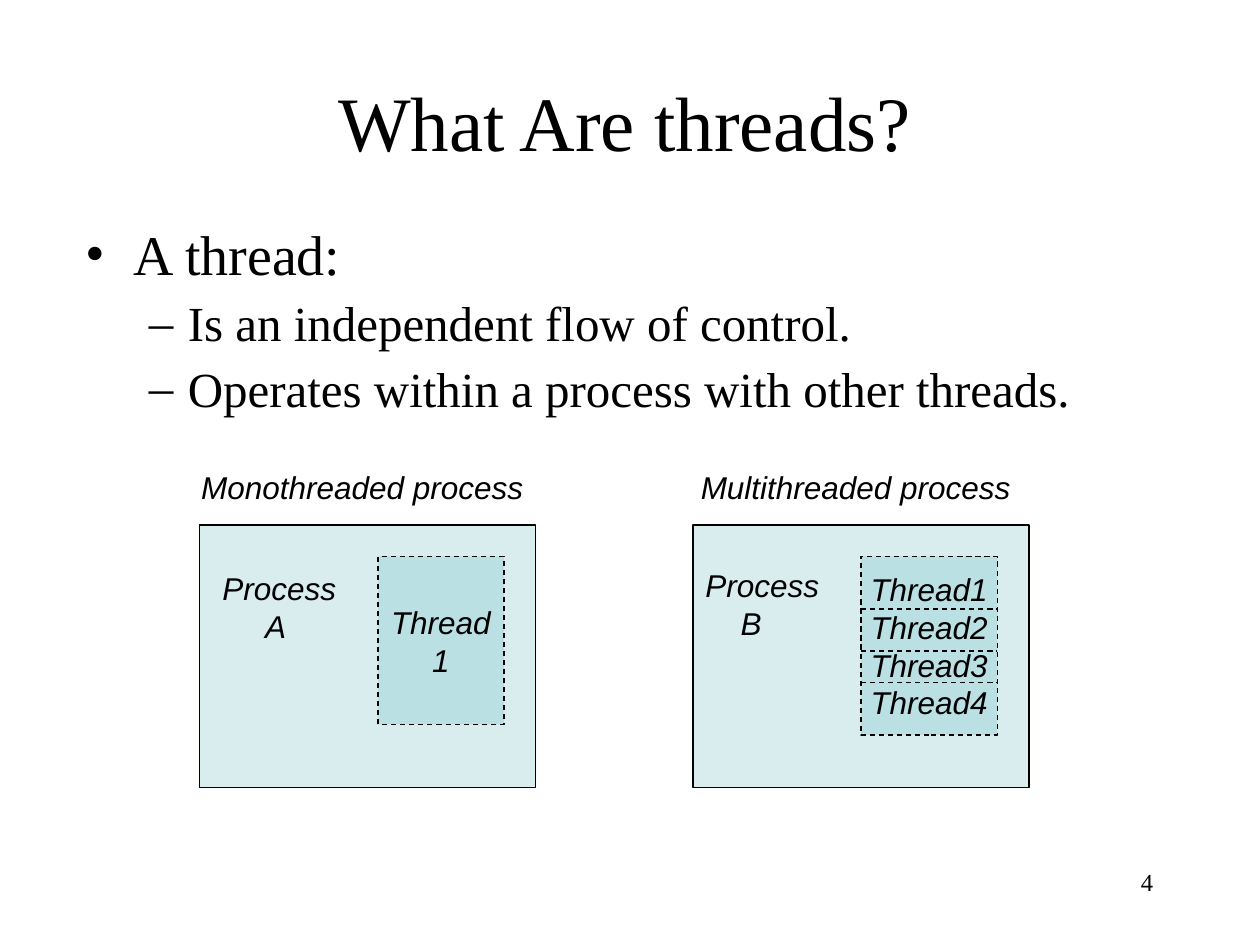
"""Build a slide that explains threads with a mono- and a multithreaded process."""
from lxml import etree
from pptx import Presentation, util as u
from pptx.dml.color import RGBColor
from pptx.enum import dml, shapes, text
from pptx.oxml.ns import qn

BLACK = RGBColor(0x00, 0x00, 0x00)
TEAL = RGBColor(0xBB, 0xE0, 0xE3)
SERIF, SANS = "Times New Roman", "Arial"
LEFT, CENTER, RIGHT = text.PP_ALIGN.LEFT, text.PP_ALIGN.CENTER, text.PP_ALIGN.RIGHT
COLUMNS, ROWS = 120, 90

TITLE = "What Are threads?"
PAGE_NUMBER = "4"
BULLETS = [
    (0, "A thread:"),
    (1, "Is an independent flow of control."),
    (1, "Operates within a process with other threads."),
]
LEVELS = [
    dict(mark="•", size=32, before=8, margin=0.38, hanging=-0.38),
    dict(mark="–", size=28, before=7, margin=0.81, hanging=-0.31),
]
PROCESSES = [
    dict(caption="Monothreaded process", caption_at=(17, 44, 35, 4.8),
         left=19, name=["Process", "A"], name_at=(20, 53.6, 13.2, 8.4),
         letter_indent=0.34, threads=["Thread", "1"],
         threads_at=(36, 53, 12, 16), dividers=[]),
    dict(caption="Multithreaded process", caption_at=(64, 44, 35, 4.8),
         left=66, name=["Process", "B"], name_at=(66, 53.3, 13.2, 8.4),
         letter_indent=0.28,
         threads=["Thread1", "Thread2", "Thread3", "Thread4"],
         threads_at=(82, 53, 13, 17), dividers=[58, 62, 65]),
]

deck = Presentation()
deck.slide_width, deck.slide_height = u.Inches(10), u.Inches(7.5)
slide = deck.slides.add_slide(deck.slide_layouts[6])


def place(left, top, width, height):
    """Turn grid units into slide lengths."""
    column, row = deck.slide_width / COLUMNS, deck.slide_height / ROWS
    return [round(n) for n in
            (left * column, top * row, width * column, height * row)]


def write(shape, lines, size, font, align, italic=False, wrap=False,
          anchor=text.MSO_ANCHOR.TOP):
    """Fill a shape with lines in one style."""
    frame = shape.text_frame
    frame.text = "\n".join(lines)
    frame.word_wrap = wrap
    frame.vertical_anchor = anchor
    for paragraph in frame.paragraphs:
        paragraph.alignment = align
        style = paragraph.runs[0].font
        style.size, style.name, style.italic = u.Pt(size), font, italic
        style.color.rgb = BLACK
    return frame


def label(at, lines, *style, **options):
    return write(slide.shapes.add_textbox(*place(*at)), lines, *style, **options)


def outline(line, dashed):
    line.color.rgb = BLACK
    line.width = u.Pt(0.75)
    if dashed:
        line.dash_style = dml.MSO_LINE.DASH


def box(at, dashed=False):
    rectangle = slide.shapes.add_shape(shapes.MSO_SHAPE.RECTANGLE, *place(*at))
    rectangle.shadow.inherit = False
    rectangle.fill.solid()
    rectangle.fill.fore_color.rgb = TEAL
    outline(rectangle.line, dashed)
    return rectangle


def draw_process(process):
    body = box((process["left"], 50, 32, 25))
    tint = body._element.spPr.find(qn("a:solidFill"))[0]
    etree.SubElement(tint, qn("a:alpha"), val="55000")

    name = label(process["name_at"], process["name"], 18, SANS, LEFT, italic=True)
    name.paragraphs[1]._p.get_or_add_pPr().set(
        "marL", str(u.Inches(process["letter_indent"])))

    left, _, width, _ = process["threads_at"]
    threads = write(box(process["threads_at"], dashed=True), process["threads"],
                    18, SANS, CENTER, italic=True, anchor=text.MSO_ANCHOR.MIDDLE)
    if process["dividers"]:
        threads.margin_top = threads.margin_bottom = 0
    for row in process["dividers"]:
        x, y, length, _ = place(left, row, width, 0)
        divider = slide.shapes.add_connector(
            shapes.MSO_CONNECTOR.STRAIGHT, x, y, x + length, y)
        outline(divider.line, dashed=True)
        etree.SubElement(divider._element.spPr, qn("a:effectLst"))

    label(process["caption_at"], [process["caption"]], 18, SANS, CENTER, italic=True)


label((86, 82, 25, 6), [PAGE_NUMBER], 14, SERIF, RIGHT, wrap=True)
label((10, 4, 99, 15), [TITLE], 44, SERIF, CENTER, wrap=True,
      anchor=text.MSO_ANCHOR.MIDDLE)

explanation = label((7, 21, 108, 20), [line for _, line in BULLETS],
                    32, SERIF, LEFT, wrap=True)
for paragraph, (depth, _) in zip(explanation.paragraphs, BULLETS):
    level = LEVELS[depth]
    paragraph.level = depth
    paragraph.line_spacing = 0.9
    paragraph.space_before = u.Pt(level["before"])
    paragraph.runs[0].font.size = u.Pt(level["size"])
    properties = paragraph._p.get_or_add_pPr()
    properties.set("marL", str(u.Inches(level["margin"])))
    properties.set("indent", str(u.Inches(level["hanging"])))
    etree.SubElement(properties, qn("a:buFont"), typeface=SERIF)
    etree.SubElement(properties, qn("a:buChar"), char=level["mark"])

for process in PROCESSES:
    draw_process(process)

deck.save("out.pptx")
